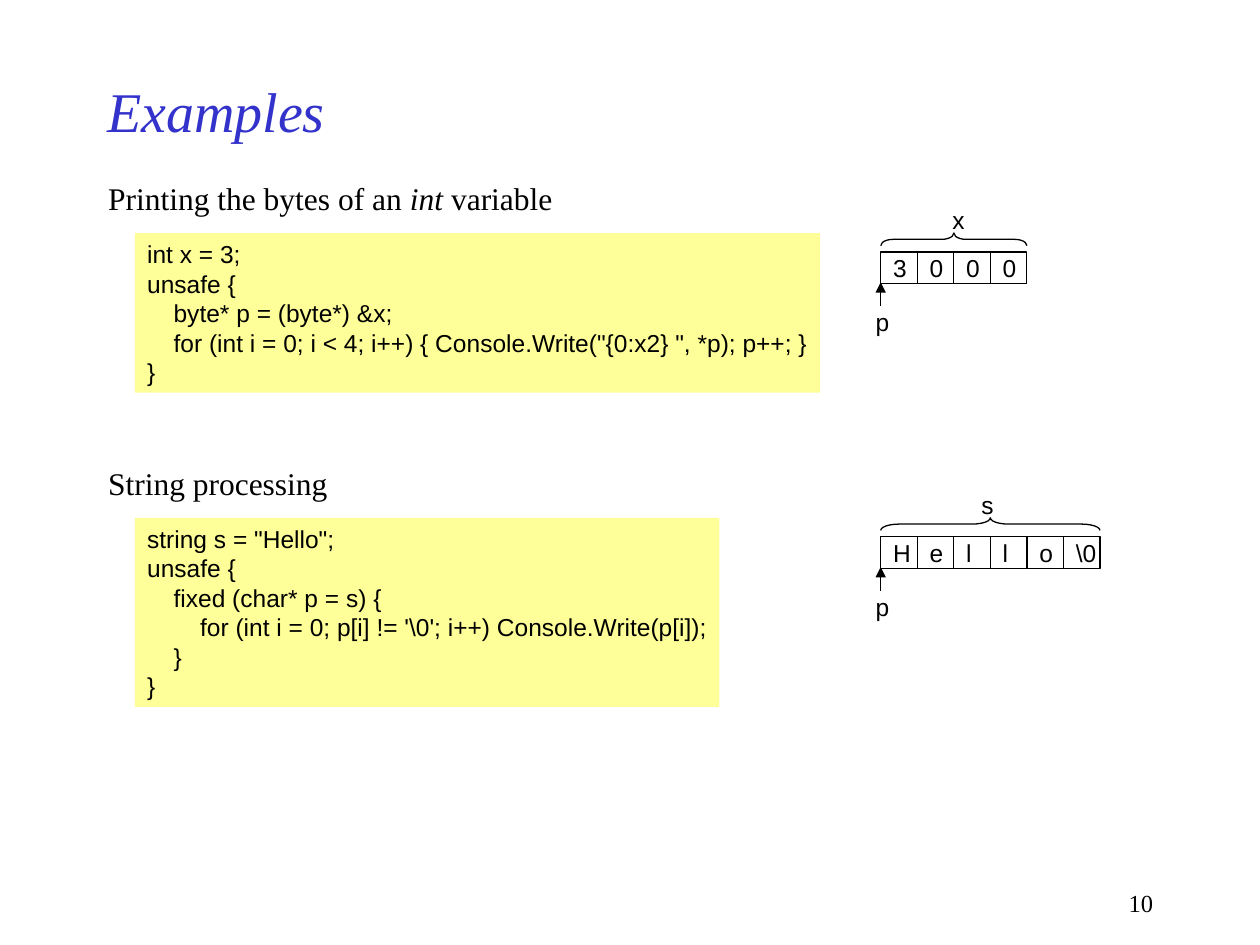
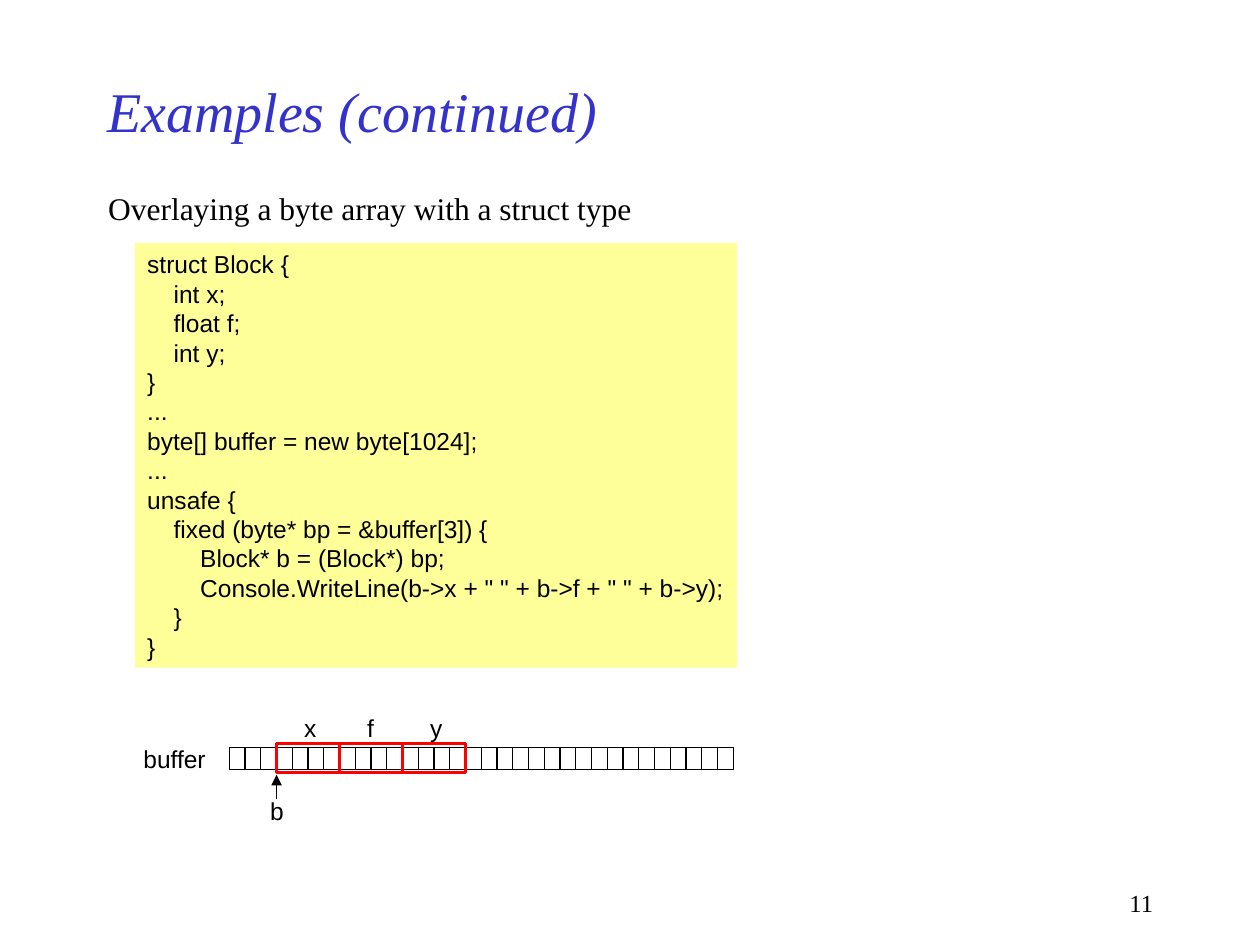
from lxml import etree
from pptx import Presentation
from pptx import util as u
from pptx.dml.color import RGBColor
from pptx.enum import shapes, text
from pptx.oxml import ns

BLACK = RGBColor(0x00, 0x00, 0x00)
BLUE = RGBColor(0x33, 0x33, 0xCC)
RED = RGBColor(0xFF, 0x00, 0x00)
YELLOW = RGBColor(0xFF, 0xFF, 0x99)
SERIF, SANS = "Times New Roman", "Arial"

TABS = (0.21, 0.42)
LINE = 3.27 / 14
CELL = 0.29
BYTE = 1 / 8
WIDTHS = {"l": 0.24, "f": 0.25, "x": 0.3, "y": 0.3, "s": 0.3,
          "H": 0.34, "\\0": 0.36, "buffer": 0.7}

PRINT = [
    'int x = 3;',
    'unsafe {',
    '\tbyte* p = (byte*) &x;',
    '\tfor (int i = 0; i < 4; i++) { Console.Write("{0:x2} ", *p); p++; }',
    '}',
]
STRING = [
    'string s = "Hello";',
    'unsafe {',
    '\tfixed (char* p = s) {',
    "\t\tfor (int i = 0; p[i] != '\\0'; i++) Console.Write(p[i]);",
    '\t}',
    '}',
]
STRUCT = [
    'struct Block {',
    '\tint x;',
    '\tfloat f;',
    '\tint y;',
    '}',
    '...',
    'byte[] buffer = new byte[1024];',
    '...',
    'unsafe {',
    '\tfixed (byte* bp = &buffer[3]) {',
    '\t\tBlock* b = (Block*) bp;',
    '\t\tConsole.WriteLine(b->x + " " + b->f + " " + b->y);',
    '\t}',
    '}',
]


def box(*sides):
    """Turn inches into lengths."""
    return [u.Inches(side) for side in sides]


def add_run(para, words, size, font=SANS, color=BLACK, italic=False):
    """Add one formatted run to a paragraph."""
    run = para.add_run()
    run.text = words
    run.font.size = u.Pt(size)
    run.font.name = font
    run.font.italic = italic
    run.font.color.rgb = color


def add_text(slide, left, top, width, height, runs, size, font=SANS, wrap=False):
    """Add a text box of (words, italic) runs and return its paragraph."""
    frame = slide.shapes.add_textbox(*box(left, top, width, height)).text_frame
    frame.word_wrap = wrap
    para = frame.paragraphs[0]
    for words, italic in runs:
        add_run(para, words, size, font, italic=italic)
    return para


def add_label(slide, left, top, words):
    """Add a short sans-serif label."""
    add_text(slide, left, top, WIDTHS.get(words, 0.31), 0.34, [(words, False)], 14)


def add_rect(slide, left, top, width, height, line=BLACK, weight=0.75):
    """Add an outlined rectangle without fill."""
    rect = slide.shapes.add_shape(shapes.MSO_SHAPE.RECTANGLE,
                                  *box(left, top, width, height))
    rect.shadow.inherit = False
    rect.fill.background()
    rect.line.color.rgb = line
    rect.line.width = u.Pt(weight)
    return rect


def add_arrow(slide, left, top):
    """Add an upward pointer arrow whose tip is at the given point."""
    arrow = slide.shapes.add_connector(shapes.MSO_CONNECTOR.STRAIGHT,
                                       *box(left, top + 0.19, left, top))
    arrow.line.color.rgb = BLACK
    arrow.line.width = u.Pt(0.75)
    etree.SubElement(arrow.line._get_or_add_ln(), ns.qn("a:tailEnd"), type="triangle")
    etree.SubElement(arrow._element.spPr, ns.qn("a:effectLst"))


def add_brace(slide, left, top, width, depth=0.1):
    """Add a brace that spans the width and points up."""
    brace = slide.shapes.add_shape(
        shapes.MSO_SHAPE.LEFT_BRACE,
        *box(left + (width - depth) / 2, top - (width - depth) / 2, depth, width))
    brace.rotation = 90
    brace.adjustments[0] = width / 12 / depth
    brace.shadow.inherit = False
    brace.fill.background()
    brace.line.color.rgb = BLACK
    brace.line.width = u.Pt(0.75)


def add_code(slide, left, top, width, lines):
    """Add a yellow code panel as tall as its lines."""
    panel = add_rect(slide, left, top, width, 0.1 + LINE * len(lines))
    panel.fill.solid()
    panel.fill.fore_color.rgb = YELLOW
    panel.line.fill.background()
    frame = panel.text_frame
    frame.word_wrap = False
    frame.vertical_anchor = text.MSO_ANCHOR.TOP
    for row, words in enumerate(lines):
        para = frame.add_paragraph() if row else frame.paragraphs[0]
        para.alignment = text.PP_ALIGN.LEFT
        stops = etree.SubElement(para._p.get_or_add_pPr(), ns.qn("a:tabLst"))
        for stop in TABS:
            etree.SubElement(stops, ns.qn("a:tab"), pos=str(u.Inches(stop)), algn="l")
        add_run(para, words, 14)


def add_topic(slide, top, runs, width, code, span):
    """Add a heading with its code panel below."""
    add_text(slide, 0.76, top, width, 0.4, runs, 18, SERIF)
    add_code(slide, 1.07, top + 0.48, span, code)


def add_cells(slide, left, top, name, shift, values):
    """Add a braced, named row of memory cells with pointer p."""
    add_label(slide, left + shift, top - 0.27, name)
    add_brace(slide, left, top, CELL * len(values))
    row = top + 0.15
    for col, value in enumerate(values):
        add_rect(slide, left + col * CELL, row, CELL, 0.25)
        add_label(slide, left + col * CELL, row - 0.04, value)
    add_arrow(slide, left, row + 0.24)
    add_label(slide, left - 0.14, row + 0.39, "p")


def add_buffer(slide, left, top, count=32, start=3, size=4):
    """Add the byte buffer with the struct fields laid over it."""
    add_label(slide, left - 0.78, top - 0.07, "buffer")
    for col in range(count):
        add_rect(slide, left + col * BYTE, top, BYTE, 0.18)
    base = left + start * BYTE
    for spot, field in enumerate("xfy"):
        edge = base + spot * size * BYTE
        add_rect(slide, edge, top - 0.03, size * BYTE, 0.23, RED, 1.5)
        add_label(slide, edge + 0.12, top - 0.32, field)
    add_arrow(slide, base, top + 0.22)
    add_label(slide, base - 0.15, top + 0.34, "b")


def add_page(deck, title, number):
    """Add a slide with its title and page number."""
    slide = deck.slides.add_slide(deck.slide_layouts[5])
    head = slide.shapes.title
    head.left, head.top, head.width, head.height = box(0.75, 0.5, 7.5, 0.75)
    frame = head.text_frame
    frame.auto_size = text.MSO_AUTO_SIZE.NONE
    frame.vertical_anchor = text.MSO_ANCHOR.MIDDLE
    frame.paragraphs[0].alignment = text.PP_ALIGN.LEFT
    add_run(frame.paragraphs[0], title, 32, SERIF, BLUE, True)
    foot = add_text(slide, 7.17, 7, 2.08, 0.33, [(str(number), False)], 14, SERIF, True)
    foot.alignment = text.PP_ALIGN.RIGHT
    return slide


def main():
    """Build both slides and save them."""
    deck = Presentation()
    deck.slide_width, deck.slide_height = box(10, 7.5)

    slide = add_page(deck, "Examples", 10)
    heading = [("Printing the bytes of an ", False), ("int", True), (" variable", False)]
    add_topic(slide, 1.37, heading, 3.85, PRINT, 5.44)
    add_cells(slide, 6.99, 1.85, "x", 0.47, "3000")
    add_topic(slide, 3.63, [("String processing", False)], 2, STRING, 4.64)
    add_cells(slide, 6.99, 4.11, "s", 0.7, [*"Hello", "\\0"])

    slide = add_page(deck, "Examples (continued)", 11)
    heading = [("Overlaying a byte array with a struct type", False)]
    add_topic(slide, 1.45, heading, 4.45, STRUCT, 4.78)
    add_buffer(slide, 1.82, 5.93)

    deck.save("out.pptx")


if __name__ == "__main__":
    main()
